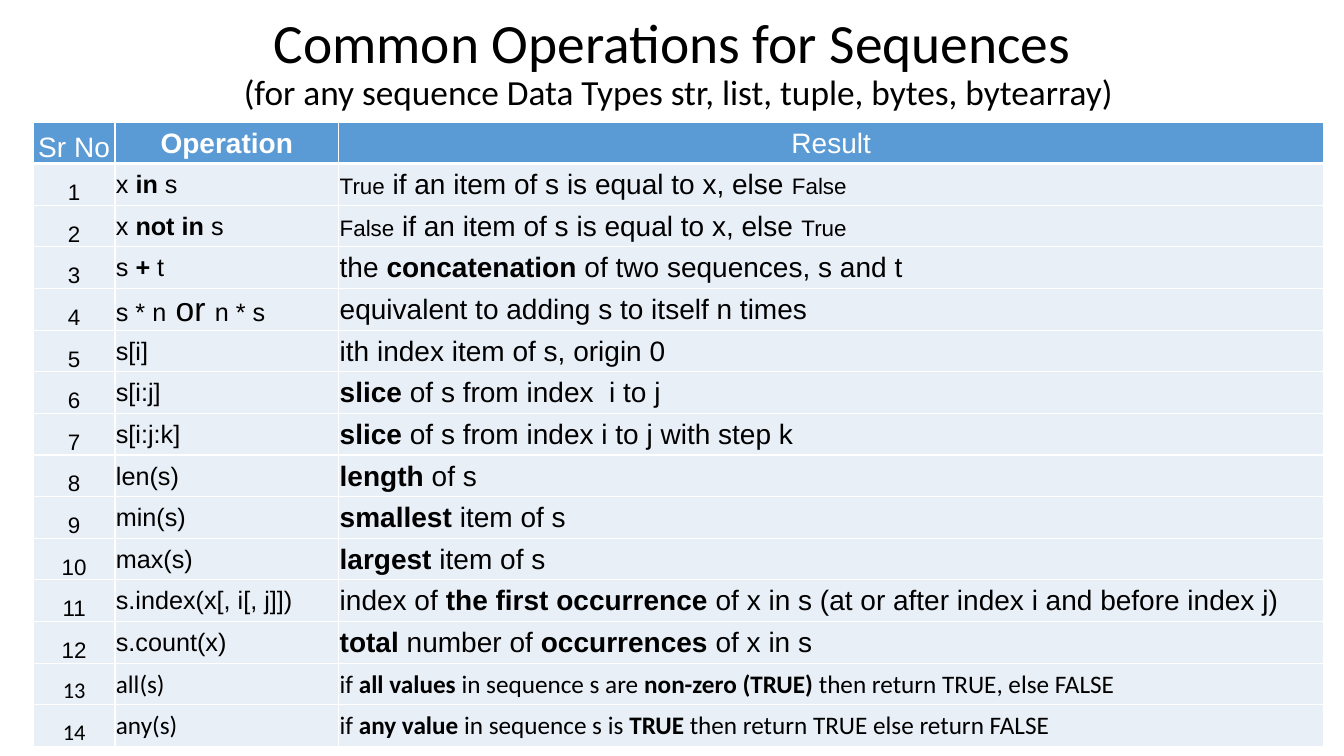
from lxml import etree
from pptx import Presentation, util as u
from pptx.dml.color import RGBColor
from pptx.enum import text
from pptx.oxml.ns import qn

WHITE, BLACK, HEADER, BAND = "FFFFFF", "000000", "5B9BD5", "E9EFF7"
COL_WIDTHS = (0.81, 2.22, 9.77)
COL_SIZES = (16, 18, 20)
HEADINGS = ("Sr No", "**Operation**", "Result")
CALIBRI_FROM = 13

# A cell is a string, or a list of (string, size) parts; ** switches bold.
OPERATIONS = [
    ("x **in** s", [("True", 16), (" if an item of s is equal to x, else ", 20), ("False", 16)]),
    ("x **not in** s", [("False", 16), (" if an item of s is equal to x, else ", 20), ("True", 16)]),
    ("s **+** t", "the **concatenation** of two sequences, s and t"),
    ([("s * n", 18), (" or ", 24), ("n * s", 18)], "equivalent to adding s to itself n times"),
    ("s[i]", "ith index item of s, origin 0"),
    ("s[i:j]", "**slice** of s from index  i to j"),
    ("s[i:j:k]", "**slice** of s from index i to j with step k"),
    ("len(s)", "**length** of s"),
    ("min(s)", "**smallest** item of s"),
    ("max(s)", "**largest** item of s"),
    ("s.index(x[, i[, j]])",
     "index of **the first occurrence **of x in s (at or after index i and before index j)"),
    ("s.count(x)", "**total** number of **occurrences** of x in s"),
    ("all(s)", [("if **all values **in sequence s are **non-zero (TRUE)** "
                 "then return TRUE, else FALSE", 18)]),
    ("any(s)", [("if **any value** in sequence s is **TRUE** "
                 "then return TRUE else return FALSE", 18)]),
]


def rgb(value):
    return RGBColor.from_string(value)


def add_text(p, content, size, font="Arial", color=BLACK):
    """Add runs to a paragraph, with bold between ** marks."""
    for i, piece in enumerate(content.split("**")):
        if piece:
            r = p.add_run()
            r.text = piece
            r.font.name, r.font.size = font, u.Pt(size)
            r.font.bold = i % 2 == 1
            r.font.color.rgb = rgb(color)


def set_borders(cell, **widths):
    """Draw white borders, 1 pt unless a side (L, R, T, B) has its own width."""
    tc_pr = cell._tc.get_or_add_tcPr()
    for side in "LRTB":
        ln = etree.SubElement(tc_pr, qn("a:ln" + side), w=str(u.Pt(widths.get(side, 1))))
        fill = etree.SubElement(ln, qn("a:solidFill"))
        etree.SubElement(fill, qn("a:srgbClr"), val=WHITE)


def fill_cell(cell, content, size, fill, anchor, align, **fmt):
    cell.margin_left = cell.margin_right = cell.margin_top = u.Inches(0.01)
    cell.margin_bottom = 0
    cell.vertical_anchor = anchor
    cell.fill.solid()
    cell.fill.fore_color.rgb = rgb(fill)
    p = cell.text_frame.paragraphs[0]
    p.alignment = align
    for part, part_size in [(content, size)] if isinstance(content, str) else content:
        add_text(p, part, part_size, **fmt)


def add_title(s):
    sp = s.shapes.add_textbox(u.Inches(0.98), u.Inches(0.08), u.Inches(11.5), u.Inches(1.12))
    tf = sp.text_frame
    tf.word_wrap = True
    tf.vertical_anchor = text.MSO_ANCHOR.MIDDLE
    p = tf.paragraphs[0]
    p.alignment = text.PP_ALIGN.CENTER
    p.line_spacing = 0.9
    add_text(p, "Common Operations for Sequences ", 39.6, font="Calibri")
    p.add_line_break()
    add_text(p, "(for any sequence Data Types str, list, tuple, bytes, bytearray)", 25.2,
             font="Calibri")


def add_operations_table(s):
    rows = [HEADINGS] + [(str(n), *row) for n, row in enumerate(OPERATIONS, 1)]
    table = s.shapes.add_table(len(rows), len(COL_WIDTHS), u.Inches(0.33), u.Inches(1.21),
                               u.Inches(sum(COL_WIDTHS)), u.Inches(6.2)).table
    for column, width in zip(table.columns, COL_WIDTHS):
        column.width = u.Inches(width)
    for n, row in enumerate(rows):
        header = n == 0
        for c, content in enumerate(row):
            cell = table.cell(n, c)
            set_borders(cell, B=3 if header else 1, T=3 if n == 1 else 1)
            fill_cell(cell, content, 20 if header else COL_SIZES[c],
                      fill=HEADER if header else BAND,
                      anchor=text.MSO_ANCHOR.BOTTOM if c == 0 else text.MSO_ANCHOR.MIDDLE,
                      align=text.PP_ALIGN.CENTER if header or c == 0 else text.PP_ALIGN.LEFT,
                      font="Calibri" if n >= CALIBRI_FROM else "Arial",
                      color=WHITE if header else BLACK)


def main():
    prs = Presentation()
    prs.slide_width, prs.slide_height = u.Inches(13.33), u.Inches(7.5)
    s = prs.slides.add_slide(prs.slide_layouts[6])
    add_title(s)
    add_operations_table(s)
    prs.save("out.pptx")


if __name__ == "__main__":
    main()
